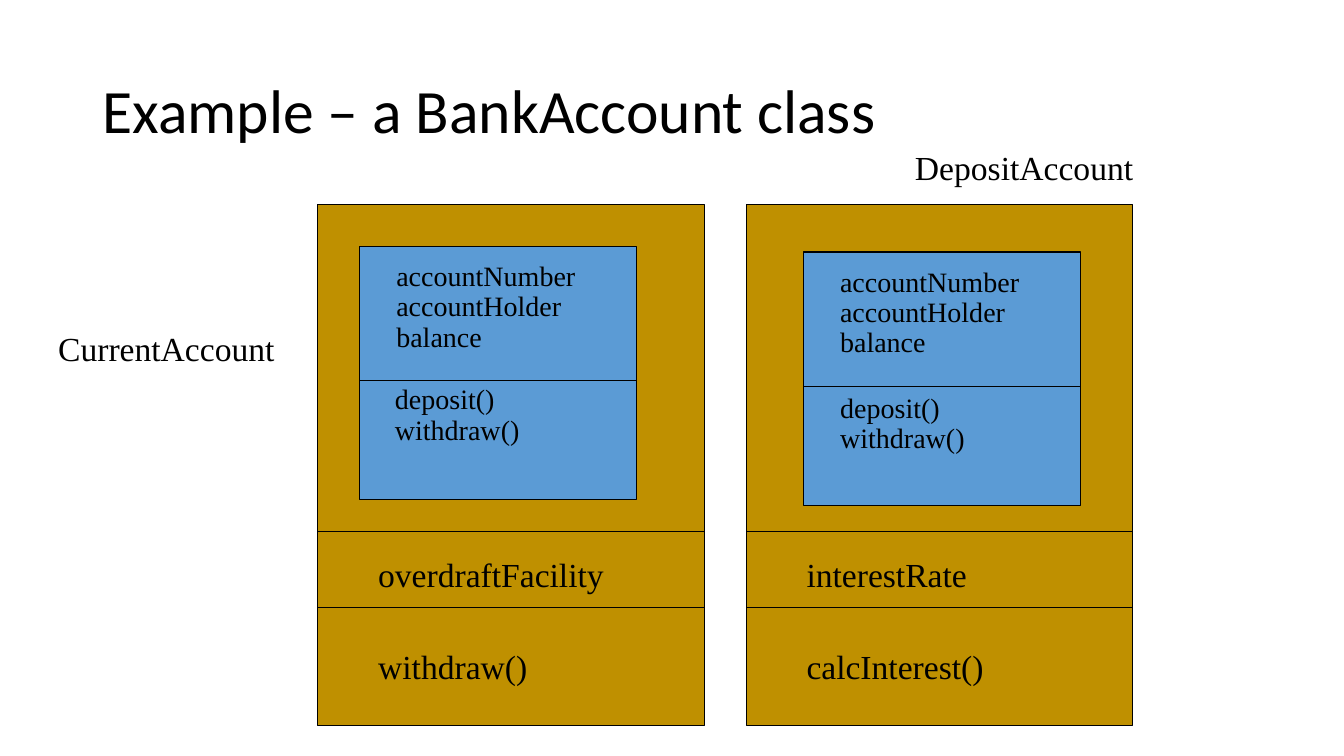
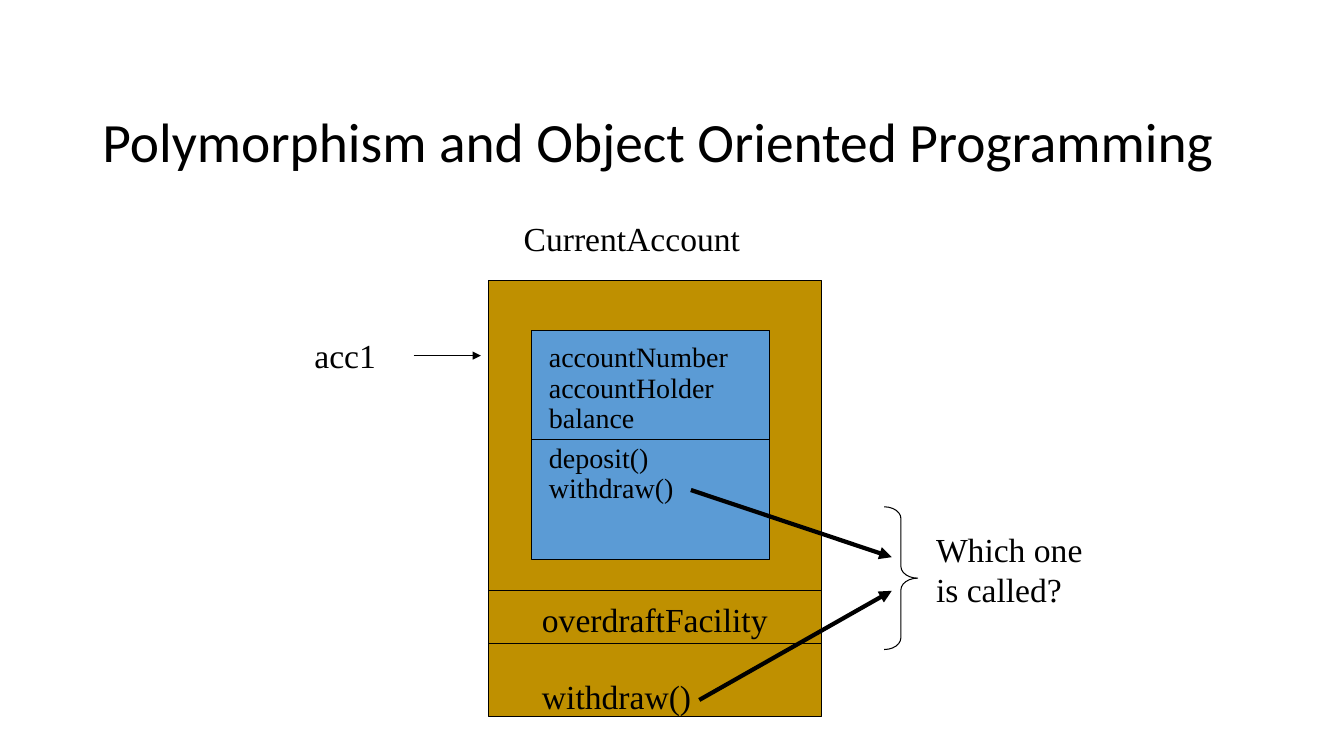
from pptx import Presentation
from pptx.dml.color import RGBColor
from pptx.enum.shapes import MSO_CONNECTOR as Link, MSO_SHAPE as Shape
from pptx.enum.text import MSO_ANCHOR as Anchor, PP_ALIGN as Align
from pptx.oxml.ns import qn
from pptx.util import Pt
from lxml.etree import SubElement

BLACK, GOLD, BLUE = "000000", "BF9000", "5B9BD5"
SANS, SERIF = "Calibri", "Times New Roman"
FIELDS = ["accountNumber", "accountHolder", "balance"]
METHODS = ["deposit()", "withdraw()"]

# outer and inner: left, top, width, height; cuts: heights of dividing lines;
# fields, methods and extras: left and top of each text
SLIDES = [
    dict(
        title=("Example – a BankAccount class", 29, 44),
        classes=[
            dict(outer=(227, 146, 276, 372), inner=(257, 176, 198, 181),
                 cuts=(380, 434), cut=272,
                 fields=(276, 184), methods=(275, 272),
                 extras=[("overdraftFacility", 263, 392),
                         ("withdraw()", 263, 458)]),
            dict(outer=(533, 146, 276, 372), inner=(574, 180, 198, 181),
                 cuts=(380, 434), cut=276,
                 fields=(593, 188), methods=(593, 278),
                 extras=[("interestRate", 569, 392),
                         ("calcInterest()", 569, 458)]),
        ],
        labels=[("CurrentAccount", 34.5, 231, 174),
                ("DepositAccount", 646.5, 101.5, 174)],
        arrows=[], braces=[]),
    dict(
        title=("Polymorphism and Object Oriented Programming", 51, 39.6),
        classes=[
            dict(outer=(349, 200, 238, 312), inner=(379.5, 236, 170, 164),
                 cuts=(422, 459.5), cut=314,
                 fields=(385, 242), methods=(385, 314),
                 extras=[("overdraftFacility", 380, 424),
                         ("withdraw()", 380, 479.5)]),
        ],
        labels=[("CurrentAccount", 367, 152, 174), ("acc1", 217.5, 236, 96),
                ("Which one is called?", 661.5, 374, 132)],
        arrows=[(295.5, 254, 343.5, 254, 0.75), (493.5, 350, 637, 398, 3),
                (499.5, 500, 637, 422, 3)],
        braces=[(631.5, 362, 24, 102)]),
]


def pts(*nums):
    return [Pt(n) for n in nums]


def color(code):
    return RGBColor.from_string(code)


def style(para, size, face, gap):
    para.font.size, para.font.name = Pt(size), face
    para.font.color.rgb = color(BLACK)
    para.line_spacing, para.alignment = gap, Align.LEFT


def add_title(slide, text, top, size):
    head = slide.shapes.title
    head.left, head.top, head.width, head.height = pts(66, top, 828, 104)
    head.text_frame.text = text
    head.text_frame.vertical_anchor = Anchor.MIDDLE
    style(head.text_frame.paragraphs[0], size, SANS, 0.9)


def add_text(slide, lines, left, top, width=220, size=24, gap=1.0):
    box = slide.shapes.add_textbox(*pts(left, top, width, 36 * len(lines)))
    frame = box.text_frame
    frame.word_wrap = True
    frame.text = "\n".join(lines)
    for para in frame.paragraphs:
        style(para, size, SERIF, gap)


def add_form(slide, kind, area, fill=None):
    form = slide.shapes.add_shape(kind, *pts(*area))
    form.shadow.inherit = False
    if fill:
        form.fill.solid()
        form.fill.fore_color.rgb = color(fill)
    else:
        form.fill.background()
    form.line.color.rgb, form.line.width = color(BLACK), Pt(0.75)
    return form


def add_line(slide, x1, y1, x2, y2, width=0.75, arrow=False):
    line = slide.shapes.add_connector(Link.STRAIGHT, *pts(x1, y1, x2, y2))
    line.line.color.rgb, line.line.width = color(BLACK), Pt(width)
    props = line._element.spPr
    if arrow:
        SubElement(props.find(qn("a:ln")), qn("a:tailEnd"), type="triangle")
    SubElement(props, qn("a:effectLst"))


def add_box(slide, area, fill, cuts):
    """Draw a rectangle divided by lines at the given heights."""
    add_form(slide, Shape.RECTANGLE, area, fill)
    for y in cuts:
        add_line(slide, area[0], y, area[0] + area[2], y)


def add_class(slide, item):
    """Draw a subclass box with its base class inside."""
    add_box(slide, item["outer"], GOLD, item["cuts"])
    add_box(slide, item["inner"], BLUE, [item["cut"]])
    add_text(slide, FIELDS, *item["fields"], 160, 20, 0.9)
    add_text(slide, METHODS, *item["methods"], 140, 20, 0.9)
    for name, left, top in item["extras"]:
        add_text(slide, [name], left, top)


def main():
    deck = Presentation()
    deck.slide_width, deck.slide_height = pts(960, 540)
    for page in SLIDES:
        slide = deck.slides.add_slide(deck.slide_layouts[5])
        add_title(slide, *page["title"])
        for item in page["classes"]:
            add_class(slide, item)
        for text, *area in page["labels"]:
            add_text(slide, [text], *area)
        for ends in page["arrows"]:
            add_line(slide, *ends, arrow=True)
        for area in page["braces"]:
            brace = add_form(slide, Shape.RIGHT_BRACE, area)
            brace.adjustments[0] = 0.35
    deck.save("out.pptx")


if __name__ == "__main__":
    main()
